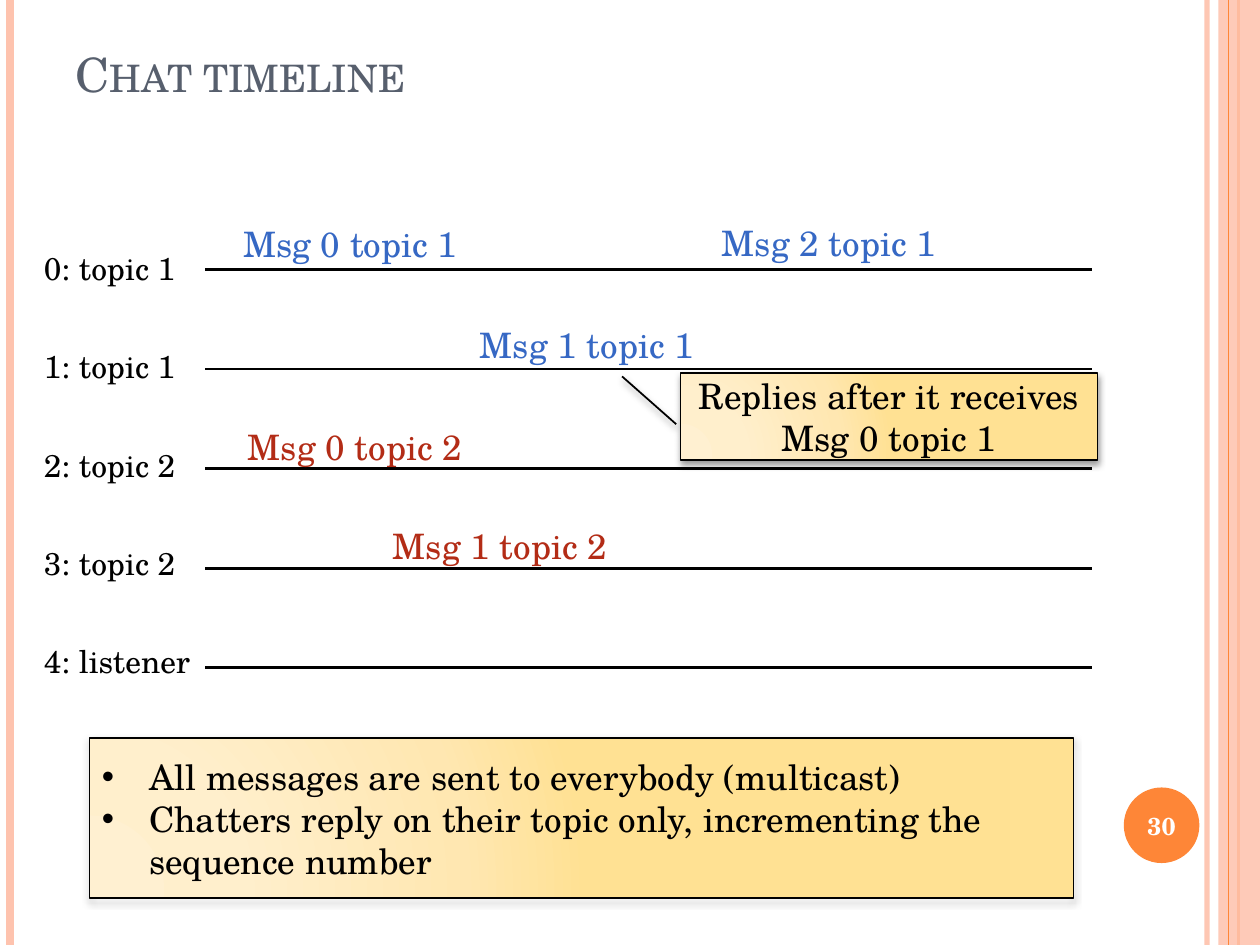
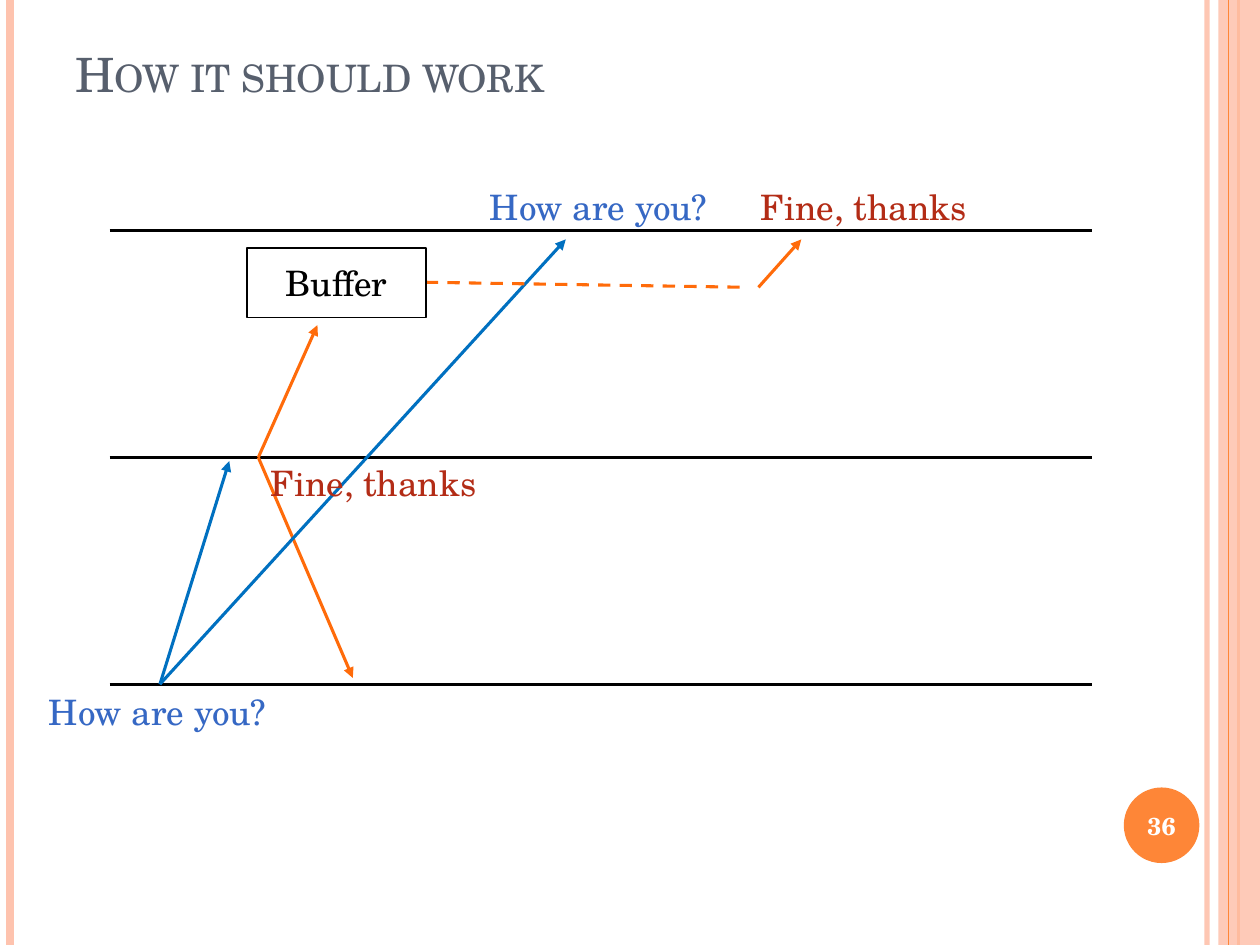
from dataclasses import dataclass
from typing import Any, Optional

from lxml import etree
from pptx import Presentation
from pptx.dml.color import RGBColor
from pptx.enum.dml import MSO_LINE
from pptx.enum.shapes import MSO_CONNECTOR, MSO_SHAPE
from pptx.enum.text import MSO_ANCHOR, MSO_AUTO_SIZE, PP_ALIGN
from pptx.oxml import parse_xml
from pptx.oxml.ns import nsdecls, qn
from pptx.util import Pt

STRAIGHT = MSO_CONNECTOR.STRAIGHT
RECTANGLE = MSO_SHAPE.RECTANGLE
ELLIPSE = MSO_SHAPE.OVAL
CALLOUT = MSO_SHAPE.LINE_CALLOUT_1
DASH = MSO_LINE.DASH
MIDDLE = MSO_ANCHOR.MIDDLE
BOTTOM = MSO_ANCHOR.BOTTOM
LEFT = PP_ALIGN.LEFT
CENTER = PP_ALIGN.CENTER
FIT_TEXT = MSO_AUTO_SIZE.SHAPE_TO_FIT_TEXT
FIXED = MSO_AUTO_SIZE.NONE

FONT = "TeX Gyre Schola"
WIDTH, HEIGHT = 720, 540
BLACK, WHITE, SLATE = "000000", "FFFFFF", "575F6D"
PEACH, ORANGE = "FEC3AE", "FE8637"
BLUE_TEXT, RED_TEXT = "3668C4", "B32C16"
BLUE_ARROW, ORANGE_ARROW = "0070C0", "FF6B0A"
NOTE_STOPS = ((0, "FFF0D1"), (30, "FFEFCC"), (75, "FFE7B1"), (100, "FFE193"))
LIFELINE_RIGHT = 624.2


@dataclass
class Line:
    x1: float
    y1: float
    x2: float
    y2: float
    color: str = BLACK
    width: float = 1.5
    opacity: int = 100
    arrow: bool = False
    dashed: bool = False


@dataclass
class Box:
    left: float
    top: float
    width: float
    height: float
    kind: Any = RECTANGLE
    fill: Optional[str] = None
    outline: Optional[str] = None
    opacity: int = 100


@dataclass
class Label:
    text: str
    left: float
    top: float
    width: float
    color: str = BLACK
    size: float = 20
    height: float = 31.7


FRAME_LINES = (
    Line(689.8, 0, 689.8, HEIGHT, PEACH, 3, opacity=93),
    Line(5.8, 0, 5.8, HEIGHT, PEACH, 4.5),
    Line(707.8, 0, 707.8, HEIGHT, ORANGE, 1.5),
)
EDGE_BAND = Box(696.2, 0, 23.8, HEIGHT, fill=PEACH, opacity=87)
EDGE_LINE = Line(702, 0, 702, HEIGHT, ORANGE, 0.75)
BADGE = Box(642.2, 450, 43.2, 43.2, ELLIPSE, fill=ORANGE)

CHATTERS = (
    ("0: topic 1", 90),
    ("1: topic 1", 90),
    ("2: topic 2", 90),
    ("3: topic 2", 90),
    ("4: listener", 98.6),
)
MESSAGES = (
    Label("Msg 0 topic 1", 131.8, 123.8, 137.5, BLUE_TEXT),
    Label("Msg 1 topic 1", 267.1, 181.4, 137.5, BLUE_TEXT),
    Label("Msg 0 topic 2", 134.6, 239.8, 137.5, RED_TEXT),
    Label("Msg 1 topic 2", 217.4, 295.9, 137.5, RED_TEXT),
    Label("Msg 2 topic 1", 405.4, 123.1, 137.5, BLUE_TEXT),
)
RULES = (
    "All messages are sent to everybody (multicast)",
    "Chatters reply on their topic only, incrementing the sequence number",
)
DELIVERIES = (
    Line(91.4, 391, 131, 263.5, BLUE_ARROW, 1.75, arrow=True),
    Line(147.6, 261.4, 201.6, 387.4, ORANGE_ARROW, 1.75, arrow=True),
    Line(147.6, 261.4, 181.4, 185.8, ORANGE_ARROW, 1.75, arrow=True),
    Line(91.4, 391, 323.3, 136.8, BLUE_ARROW, 1.75, arrow=True),
    Line(243.4, 161.3, 427.7, 164.2, ORANGE_ARROW, 1.75, dashed=True),
    Line(433.4, 164.2, 457.9, 136.8, ORANGE_ARROW, 1.75, arrow=True),
)
SPEECHES = (
    Label("How are you?", 20.9, 391, 141.1, BLUE_TEXT),
    Label("Fine, thanks", 147.6, 260, 133.2, RED_TEXT),
    Label("How are you?", 272.9, 102.2, 141.1, BLUE_TEXT),
    Label("Fine, thanks", 427.7, 102.2, 133.2, RED_TEXT),
)


def rgb(color: str) -> RGBColor:
    return RGBColor.from_string(color)


def apply_format(target: Any, values: dict) -> None:
    for name, value in values.items():
        setattr(target, name, value)


def set_opacity(shape: Any, opacity: int) -> None:
    if opacity < 100:
        color = next(shape.element.spPr.iter(qn("a:srgbClr")))
        etree.SubElement(color, qn("a:alpha"), val=str(opacity * 1000))


def write(frame: Any, lines: tuple, color: str, size: float,
          alignment: Any = LEFT, bold: bool = False) -> None:
    for index, text in enumerate(lines):
        paragraph = frame.paragraphs[0] if index == 0 else frame.add_paragraph()
        paragraph.alignment = alignment
        run = paragraph.add_run()
        run.text = text
        apply_format(run.font, {"name": FONT, "size": Pt(size), "bold": bold})
        run.font.color.rgb = rgb(color)


def draw_line(slide: Any, line: Line) -> None:
    connector = slide.shapes.add_connector(
        STRAIGHT, Pt(line.x1), Pt(line.y1), Pt(line.x2), Pt(line.y2))
    connector.line.color.rgb = rgb(line.color)
    connector.line.width = Pt(line.width)
    if line.dashed:
        connector.line.dash_style = DASH
    properties = connector.element.spPr
    if line.arrow:
        etree.SubElement(properties.find(qn("a:ln")), qn("a:tailEnd"), type="triangle")
    etree.SubElement(properties, qn("a:effectLst"))
    set_opacity(connector, line.opacity)


def draw_box(slide: Any, box: Box) -> Any:
    shape = slide.shapes.add_shape(
        box.kind, Pt(box.left), Pt(box.top), Pt(box.width), Pt(box.height))
    shape.shadow.inherit = False
    if box.fill:
        shape.fill.solid()
        shape.fill.fore_color.rgb = rgb(box.fill)
        set_opacity(shape, box.opacity)
    else:
        shape.fill.background()
    if box.outline:
        shape.line.color.rgb = rgb(box.outline)
        shape.line.width = Pt(1)
    else:
        shape.line.fill.background()
    apply_format(shape.text_frame, {"word_wrap": True, "vertical_anchor": MIDDLE})
    return shape


def draw_note(slide: Any, box: Box) -> Any:
    shape = draw_box(slide, box)
    properties = shape.element.spPr
    stops = "".join(
        f'<a:gs pos="{position * 1000}"><a:srgbClr val="{color}"/></a:gs>'
        for position, color in NOTE_STOPS)
    gradient = parse_xml(
        f'<a:gradFill {nsdecls("a")} rotWithShape="1"><a:gsLst>{stops}</a:gsLst>'
        '<a:path path="circle"><a:fillToRect l="5000" t="100000" r="120000" b="10000"/>'
        '</a:path></a:gradFill>')
    properties.replace(properties.find(qn("a:noFill")), gradient)
    properties.find(qn("a:effectLst")).append(parse_xml(
        f'<a:outerShdw {nsdecls("a")} blurRad="{Pt(4)}" dist="{Pt(2)}" dir="5400000" '
        f'rotWithShape="0"><a:srgbClr val="{BLACK}"><a:alpha val="40000"/></a:srgbClr>'
        '</a:outerShdw>'))
    return shape


def draw_label(slide: Any, label: Label) -> None:
    text_box = slide.shapes.add_textbox(
        Pt(label.left), Pt(label.top), Pt(label.width), Pt(label.height))
    apply_format(text_box.text_frame, {"word_wrap": False, "auto_size": FIT_TEXT})
    write(text_box.text_frame, (label.text,), label.color, label.size)


def add_bullets(frame: Any) -> None:
    for paragraph in frame.paragraphs:
        properties = paragraph.runs[0].font and paragraph._p.get_or_add_pPr()
        properties.set("marL", str(Pt(27)))
        properties.set("indent", str(-Pt(27)))
        etree.SubElement(properties, qn("a:buFont"), typeface="Arial")
        etree.SubElement(properties, qn("a:buChar"), char="•")


def add_framed_slide(presentation: Any, title: str, number: int) -> Any:
    slide = presentation.slides.add_slide(presentation.slide_layouts[5])
    for line in FRAME_LINES:
        draw_line(slide, line)
    draw_box(slide, EDGE_BAND)
    draw_line(slide, EDGE_LINE)
    badge = draw_box(slide, BADGE)
    apply_format(badge.text_frame, {"margin_left": 0, "margin_right": 0})
    write(badge.text_frame, (str(number),), WHITE, 14, CENTER, bold=True)
    heading = slide.shapes.title
    apply_format(heading, {
        "left": Pt(36), "top": Pt(21.6), "width": Pt(588.2), "height": Pt(40.3)})
    frame = heading.text_frame
    apply_format(frame, {
        "vertical_anchor": BOTTOM, "word_wrap": True, "auto_size": FIXED})
    write(frame, (title,), SLATE, 27)
    frame.paragraphs[0].runs[0].font._element.set("cap", "small")
    return slide


def draw_lifelines(slide: Any, left: float, top: float, step: float, count: int) -> None:
    for row in range(count):
        y = top + row * step
        draw_line(slide, Line(left, y, LIFELINE_RIGHT, y))


def build_chat_timeline(presentation: Any) -> None:
    slide = add_framed_slide(presentation, "Chat timeline", 30)
    draw_lifelines(slide, 117.4, 154.1, 56.88, len(CHATTERS))
    for row, (name, width) in enumerate(CHATTERS):
        draw_label(slide, Label(name, 18, 138.8 + row * 56.2, width, size=18, height=28.8))
    for message in MESSAGES:
        draw_label(slide, message)
    rules = draw_note(slide, Box(51.1, 421.9, 562.3, 91.4, outline=BLACK))
    write(rules.text_frame, RULES, BLACK, 20)
    add_bullets(rules.text_frame)
    callout = draw_note(slide, Box(388.8, 213.1, 238.3, 49.7, CALLOUT, outline=BLACK))
    for index, value in enumerate((0.59, -0.01, 0.04, -0.14)):
        callout.adjustments[index] = value
    write(callout.text_frame, ("Replies after it receives Msg 0 topic 1",),
          BLACK, 20, CENTER)


def build_expected_order(presentation: Any) -> None:
    slide = add_framed_slide(presentation, "How it should work", 36)
    draw_lifelines(slide, 62.6, 131.8, 129.6, 3)
    for delivery in DELIVERIES:
        draw_line(slide, delivery)
    for speech in SPEECHES:
        draw_label(slide, speech)
    buffer = draw_box(slide, Box(141.1, 141.8, 102.2, 39.6, outline=BLACK))
    write(buffer.text_frame, ("Buffer",), BLACK, 20, CENTER)


def main() -> None:
    presentation = Presentation()
    presentation.slide_width = Pt(WIDTH)
    presentation.slide_height = Pt(HEIGHT)
    build_chat_timeline(presentation)
    build_expected_order(presentation)
    presentation.save("out.pptx")


if __name__ == "__main__":
    main()
